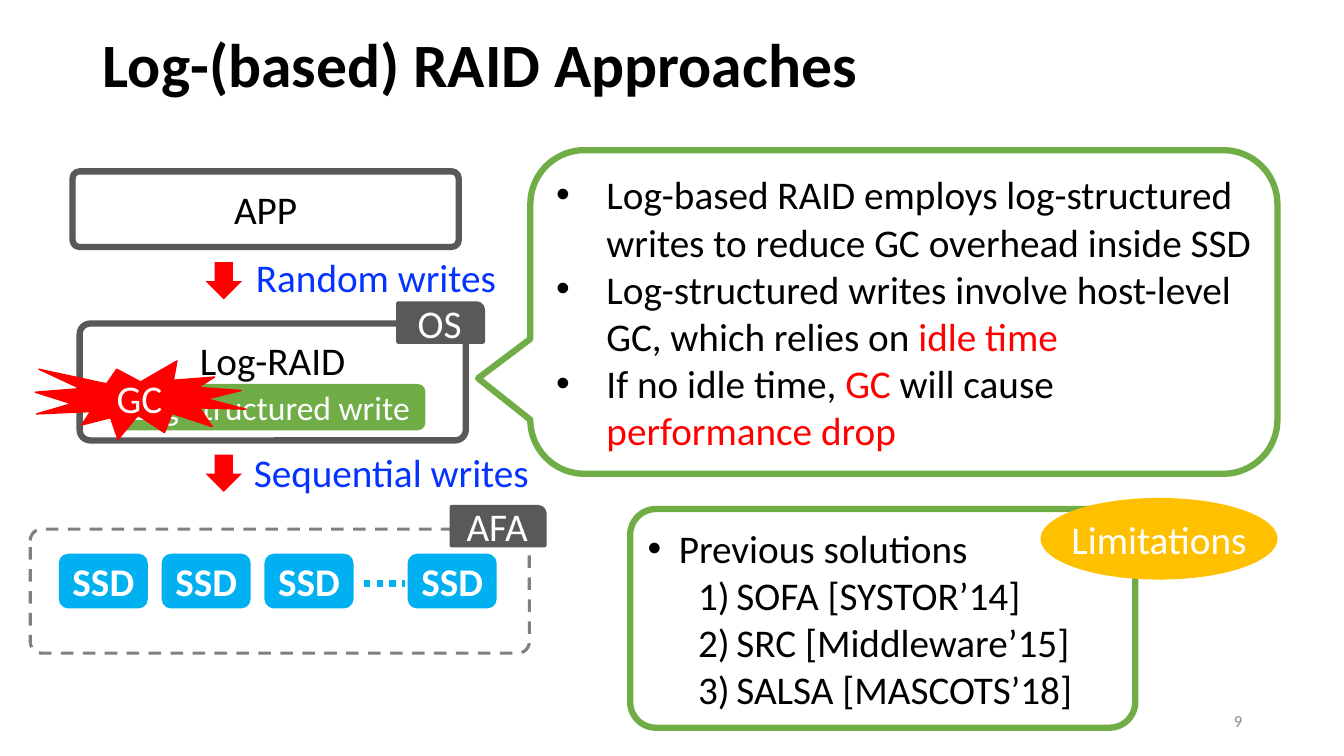
from lxml.etree import SubElement
from pptx import Presentation
from pptx.dml.color import RGBColor
from pptx.enum.dml import MSO_LINE
from pptx.enum.shapes import MSO_CONNECTOR, MSO_SHAPE as Kind
from pptx.enum.text import MSO_ANCHOR as Anchor, MSO_AUTO_SIZE, PP_ALIGN as Align
from pptx.oxml.ns import qn
from pptx.util import Inches, Pt

BLACK = RGBColor(0x00, 0x00, 0x00)
WHITE = RGBColor(0xFF, 0xFF, 0xFF)
RED = RGBColor(0xFF, 0x00, 0x00)
BLUE = RGBColor(0x04, 0x32, 0xFF)
SKY = RGBColor(0x00, 0xB0, 0xF0)
GREEN = RGBColor(0x70, 0xAD, 0x47)
AMBER = RGBColor(0xFF, 0xC0, 0x00)
DARK_GRAY = RGBColor(0x59, 0x59, 0x59)
GRAY = RGBColor(0x80, 0x80, 0x80)
PALE_GRAY = RGBColor(0x8C, 0x8C, 0x8C)
FONT = "Calibri"


def write(shape, *paragraphs, size=28, color=BLACK, bold=False, align=Align.CENTER,
          anchor=Anchor.MIDDLE, wrap=True):
    frame = shape.text_frame
    frame.auto_size = MSO_AUTO_SIZE.NONE
    frame.word_wrap = wrap
    frame.vertical_anchor = anchor
    for index, runs in enumerate(paragraphs):
        paragraph = frame.add_paragraph() if index else frame.paragraphs[0]
        paragraph.alignment = align
        for words, run_color in [(runs, color)] if isinstance(runs, str) else runs:
            run = paragraph.add_run()
            run.text = words
            run.font.name = FONT
            run.font.size = Pt(size)
            run.font.bold = bold
            run.font.color.rgb = run_color
    return frame


def mark(paragraph, indent, hanging, numbered=False):
    properties = paragraph._p.get_or_add_pPr()
    properties.set("marL", str(Inches(indent)))
    properties.set("indent", str(-Inches(hanging)))
    if numbered:
        SubElement(properties, qn("a:buFont"), typeface="+mj-lt")
        SubElement(properties, qn("a:buAutoNum"), type="arabicParenR")
    else:
        SubElement(properties, qn("a:buFont"), typeface="Arial")
        SubElement(properties, qn("a:buChar"), char="•")


def add_box(slide, kind, left, top, width, height, fill=None, line=None, weight=1,
            dash=None, adjust=()):
    box = slide.shapes.add_shape(kind, Inches(left), Inches(top), Inches(width), Inches(height))
    box.shadow.inherit = False
    if fill is None:
        box.fill.background()
    else:
        box.fill.solid()
        box.fill.fore_color.rgb = fill
    if line is None:
        box.line.fill.background()
    else:
        box.line.color.rgb = line
        box.line.width = Pt(weight)
        box.line.dash_style = dash
    for index, value in enumerate(adjust):
        box.adjustments[index] = value
    return box


def add_label(slide, words, left, top, width, height, **style):
    label = slide.shapes.add_textbox(Inches(left), Inches(top), Inches(width), Inches(height))
    write(label, words, **style)


def add_layer(slide, left, top, height):
    return add_box(slide, Kind.ROUNDED_RECTANGLE, left, top, 3.83, height,
                   line=DARK_GRAY, weight=4.5, adjust=[0.091])


def add_tab(slide, words, left, top, width):
    tab = add_box(slide, Kind.ROUND_1_RECTANGLE, left, top, width, 0.38, DARK_GRAY, DARK_GRAY, 3)
    write(tab, words, color=WHITE)


def add_write_step(slide, words, arrow_top, left, top, width):
    add_box(slide, Kind.DOWN_ARROW, 2.04, arrow_top, 0.36, 0.37, RED)
    add_label(slide, words, left, top, width, 0.57, color=BLUE, align=Align.LEFT, wrap=False)


def add_title(slide, words):
    title = slide.shapes.title
    title.left, title.top = Inches(0.92), Inches(0.12)
    title.width, title.height = Inches(11.5), Inches(1.11)
    frame = write(title, words, size=44, bold=True, align=Align.LEFT)
    frame.paragraphs[0].line_spacing = 0.9


def add_ssd_array(slide):
    add_box(slide, Kind.ROUNDED_RECTANGLE, 0.3, 5.25, 4.95, 1.23,
            line=GRAY, weight=2.25, dash=MSO_LINE.DASH, adjust=[0.091])
    for left in [0.59 + 1.02 * index for index in range(3)] + [4.05]:
        ssd = add_box(slide, Kind.ROUNDED_RECTANGLE, left, 5.5, 0.87, 0.53, SKY, SKY)
        write(ssd, "SSD", color=WHITE, bold=True)
    dots = slide.shapes.add_connector(MSO_CONNECTOR.STRAIGHT, Inches(3.61), Inches(5.79),
                                      Inches(4.02), Inches(5.79))
    dots.line.color.rgb = SKY
    dots.line.width = Pt(4.5)
    dots.line.dash_style = MSO_LINE.ROUND_DOT
    SubElement(dots._element.spPr, qn("a:effectLst"))
    add_tab(slide, "AFA", 4.48, 5.03, 0.92)


def add_log_raid(slide):
    frame = write(add_layer(slide, 0.79, 3.21, 1.16), "Log-RAID", anchor=Anchor.TOP)
    frame.margin_top = Inches(0.1)
    log_write = add_box(slide, Kind.ROUNDED_RECTANGLE, 1.15, 3.81, 3.07, 0.46, GREEN)
    write(log_write, "Log-structured write", size=24, color=WHITE)
    add_tab(slide, "OS", 3.95, 3.01, 0.84)
    gc_burst = add_box(slide, Kind.EXPLOSION1, 0.35, 3.58, 2.09, 0.78, RED, RED)
    write(gc_burst, "GC", color=WHITE)


def add_explanation(slide):
    callout = add_box(slide, Kind.ROUNDED_RECTANGULAR_CALLOUT, 5.26, 1.49, 7.41, 3.21,
                      WHITE, GREEN, 4.5, adjust=[-0.57, 0.205, 0.167])
    frame = write(
        callout,
        "Log-based RAID employs log-structured writes to reduce GC overhead inside SSD",
        [("Log-structured writes involve host-level GC, which relies on ", BLACK),
         ("idle time", RED)],
        [("If no idle time, ", BLACK), ("GC ", RED), ("will cause ", BLACK),
         ("performance drop", RED)],
        align=Align.LEFT)
    frame.margin_right = 0
    for paragraph in frame.paragraphs:
        mark(paragraph, 0.5, 0.5)


def add_previous_solutions(slide):
    panel = add_box(slide, Kind.ROUNDED_RECTANGLE, 6.25, 5.05, 5.01, 2.17,
                    WHITE, GREEN, 4.5, adjust=[0.118])
    frame = write(panel, "Previous solutions", "SOFA [SYSTOR’14]", "SRC [Middleware’15]",
                  "SALSA [MASCOTS’18]", align=Align.LEFT)
    heading, *solutions = frame.paragraphs
    mark(heading, 0.31, 0.31)
    for solution in solutions:
        solution.level = 1
        mark(solution, 0.88, 0.38, numbered=True)
    limitations = add_box(slide, Kind.OVAL, 10.32, 4.94, 2.35, 0.81, AMBER)
    write(limitations, "Limitations", color=WHITE, wrap=False)


def main():
    deck = Presentation()
    deck.slide_width, deck.slide_height = Inches(13.33), Inches(7.5)
    slide = deck.slides.add_slide(deck.slide_layouts[5])
    add_title(slide, "Log-(based) RAID Approaches")
    write(add_layer(slide, 0.72, 1.7, 0.75), "APP")
    add_write_step(slide, "Random writes", 2.6, 2.44, 2.46, 2.67)
    add_log_raid(slide)
    add_write_step(slide, "Sequential writes", 4.51, 2.42, 4.4, 2.96)
    add_ssd_array(slide)
    add_explanation(slide)
    add_previous_solutions(slide)
    add_label(slide, "9", 9.42, 6.95, 3, 0.4, size=12, color=PALE_GRAY, align=Align.RIGHT)
    deck.save("out.pptx")


if __name__ == "__main__":
    main()
